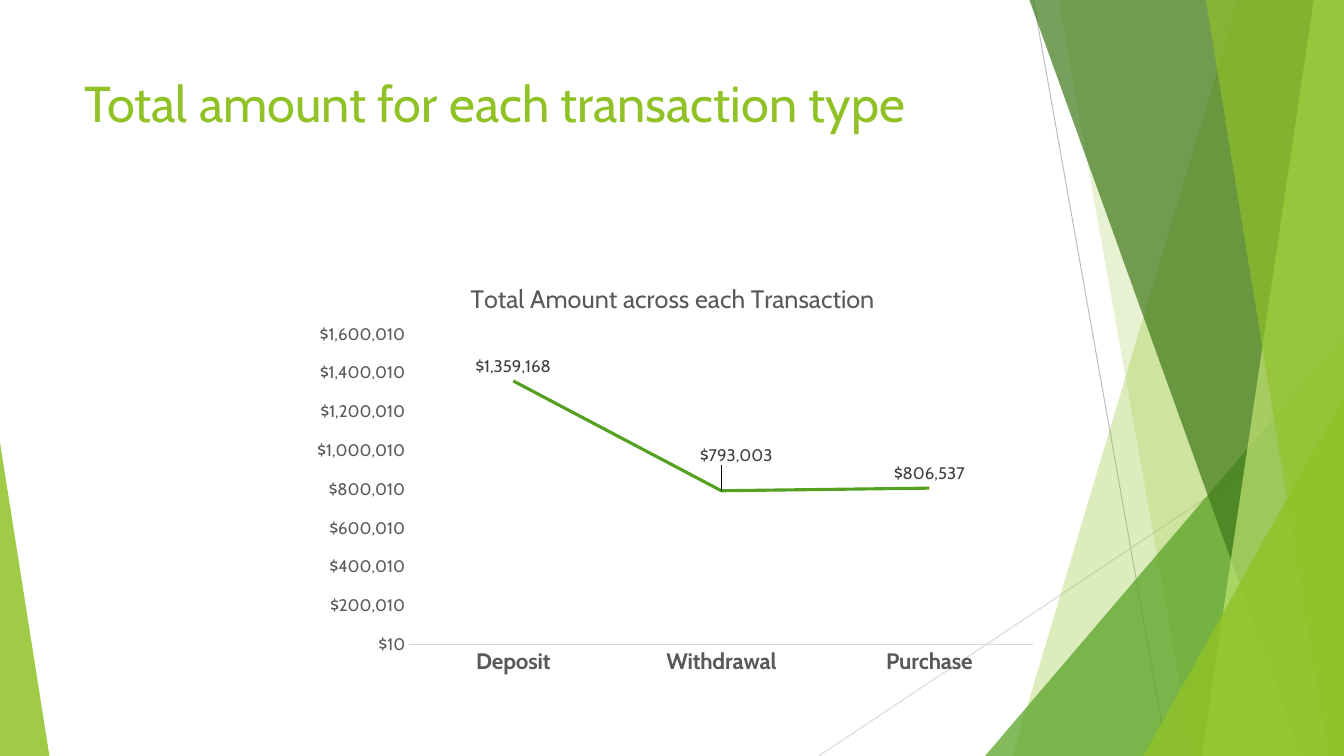
from dataclasses import dataclass

from lxml import etree
from pptx import Presentation
from pptx.chart.data import CategoryChartData
from pptx.dml.color import RGBColor
from pptx.enum.chart import XL_CHART_TYPE, XL_LABEL_POSITION, XL_TICK_MARK
from pptx.enum.shapes import MSO_CONNECTOR, MSO_SHAPE
from pptx.enum.text import MSO_ANCHOR
from pptx.oxml.ns import qn
from pptx.util import Pt

PX = 9144
WIDTH, HEIGHT = 1333, 750
LINE_CHART = XL_CHART_TYPE.LINE
LABEL_ABOVE = XL_LABEL_POSITION.ABOVE
NO_TICK = XL_TICK_MARK.NONE
STRAIGHT = MSO_CONNECTOR.STRAIGHT
TRIANGLE = MSO_SHAPE.ISOSCELES_TRIANGLE
TOP = MSO_ANCHOR.TOP


@dataclass(frozen=True)
class Theme:
    font: str = "Cabin"
    lime: str = "90C226"
    green: str = "54A021"
    forest: str = "3F7819"
    pale: str = "C0E474"
    silver: str = "BFBFBF"
    mist: str = "D9D9D9"
    axis_text: str = "595959"
    label_text: str = "404040"
    heading_size: int = 36
    chart_title_size: int = 18
    category_size: int = 16
    value_size: int = 12
    hairline: float = 0.75
    trend_width: float = 2.25


@dataclass(frozen=True)
class Ray:
    start: tuple[int, int]
    end: tuple[int, int]
    color: str


@dataclass(frozen=True)
class Blade:
    top_left: int
    bottom_left: int
    color: str
    opacity: int


@dataclass(frozen=True)
class Wedge:
    left: int
    top: int
    width: int
    apex: int
    color: str
    opacity: int


THEME = Theme()
RAYS = [
    Ray((1025, 0), (1158, HEIGHT), THEME.silver),
    Ray((WIDTH, 403), (812, HEIGHT), THEME.mist),
]
FACETS = [
    Blade(1228, 1004, THEME.lime, 30),
    Blade(1050, 1183, THEME.lime, 20),
    Wedge(977, 333, 356, 1, THEME.green, 72),
    Blade(1021, 1291, THEME.forest, 70),
    Blade(1303, 1192, THEME.pale, 70),
    Blade(1196, 1318, THEME.lime, 65),
    Wedge(1134, 393, 199, 1, THEME.lime, 80),
    Wedge(0, 439, 49, 0, THEME.lime, 85),
]
HEADING = "Total amount for each transaction type"
CHART_TITLE = "Total Amount across each Transaction"
TOTALS = {"Deposit": 1359168, "Withdrawal": 793003, "Purchase": 806537}
DOLLARS = "[$$-409]#,##0"
VALUE_AXIS = dict(minimum_scale=10, maximum_scale=1600010, major_unit=200000,
                  has_major_gridlines=False, major_tick_mark=NO_TICK)
CATEGORY_AXIS = dict(has_major_gridlines=False, major_tick_mark=NO_TICK)
NUMBER_FORMAT = dict(number_format=DOLLARS, number_format_is_linked=False)
DATA_LABELS = dict(show_value=True, position=LABEL_ABOVE, **NUMBER_FORMAT)
PLOT_LAYOUT = dict(layoutTarget="inner", xMode="edge", yMode="edge",
                   x=0.15, y=0.17, w=0.83, h=0.74)
WITHDRAWAL_OFFSET = dict(x=0.02, y=-0.05)


def apply(target, values: dict) -> None:
    for name, value in values.items():
        setattr(target, name, value)


def style_font(font, size: int, color: str, bold: bool = False) -> None:
    apply(font, dict(name=THEME.font, size=Pt(size), bold=bold))
    font.color.rgb = RGBColor.from_string(color)


def style_line(line, color: str, width: float) -> None:
    line.color.rgb = RGBColor.from_string(color)
    line.width = Pt(width)


def draw_ray(slide, ray: Ray) -> None:
    ends = [value * PX for value in (*ray.start, *ray.end)]
    connector = slide.shapes.add_connector(STRAIGHT, *ends)
    style_line(connector.line, ray.color, THEME.hairline)
    etree.SubElement(connector.element.spPr, qn("a:effectLst"))


def draw_facet(slide, facet: Blade | Wedge) -> None:
    if isinstance(facet, Blade):
        outline = slide.shapes.build_freeform(facet.top_left, 0, scale=PX)
        outline.add_line_segments(
            [(WIDTH, 0), (WIDTH, HEIGHT), (facet.bottom_left, HEIGHT)], close=True)
        shape = outline.convert_to_shape()
    else:
        box = (facet.left, facet.top, facet.width, HEIGHT - facet.top)
        shape = slide.shapes.add_shape(TRIANGLE, *(value * PX for value in box))
        shape.adjustments[0] = facet.apex
    shape.shadow.inherit = False
    shape.fill.solid()
    shape.fill.fore_color.rgb = RGBColor.from_string(facet.color)
    shape.line.fill.background()
    color = shape.element.spPr.find(".//" + qn("a:srgbClr"))
    etree.SubElement(color, qn("a:alpha"), val=str(facet.opacity * 1000))


def draw_heading(slide) -> None:
    box = slide.shapes.add_textbox(*(value * PX for value in (74, 67, 940, 144)))
    apply(box.text_frame, dict(word_wrap=True, vertical_anchor=TOP))
    run = box.text_frame.paragraphs[0].add_run()
    run.text = HEADING
    style_font(run.font, THEME.heading_size, THEME.lime)


def set_layout(parent, index: int, values: dict) -> None:
    for stale in parent.findall(qn("c:layout")):
        parent.remove(stale)
    layout = etree.Element(qn("c:layout"))
    manual = etree.SubElement(layout, qn("c:manualLayout"))
    for name, value in values.items():
        etree.SubElement(manual, qn(f"c:{name}"), val=str(value))
    parent.insert(index, layout)


def draw_chart(slide) -> None:
    data = CategoryChartData(number_format=DOLLARS)
    data.categories = list(TOTALS)
    data.add_series("Series 1", list(TOTALS.values()))
    box = (value * PX for value in (294, 261, 746, 416))
    chart = slide.shapes.add_chart(LINE_CHART, *box, data).chart
    apply(chart, dict(has_legend=False, has_title=True))
    chart.font.name = THEME.font
    title = chart.chart_title
    title.include_in_layout = False
    title.text_frame.text = CHART_TITLE
    title_run = title.text_frame.paragraphs[0].runs[0]
    style_font(title_run.font, THEME.chart_title_size, THEME.axis_text)

    values, categories = chart.value_axis, chart.category_axis
    apply(values, VALUE_AXIS)
    apply(values.tick_labels, NUMBER_FORMAT)
    values.format.line.fill.background()
    style_font(values.tick_labels.font, THEME.value_size, THEME.axis_text)
    apply(categories, CATEGORY_AXIS)
    style_line(categories.format.line, THEME.mist, THEME.hairline)
    style_font(categories.tick_labels.font, THEME.category_size, THEME.axis_text, True)

    plot = chart.plots[0]
    plot.vary_by_categories = False
    trend = plot.series[0]
    trend.smooth = False
    style_line(trend.format.line, THEME.green, THEME.trend_width)
    apply(trend.data_labels, DATA_LABELS)
    style_font(trend.data_labels.font, THEME.value_size, THEME.label_text)
    withdrawal = trend.points[list(TOTALS).index("Withdrawal")].data_label
    withdrawal.position = LABEL_ABOVE
    style_font(withdrawal.font, THEME.value_size, THEME.label_text)

    chart_xml = chart.element
    set_layout(chart_xml.find(".//" + qn("c:plotArea")), 0, PLOT_LAYOUT)
    set_layout(chart_xml.find(".//" + qn("c:dLbl")), 1, WITHDRAWAL_OFFSET)


def main() -> None:
    deck = Presentation()
    apply(deck, dict(slide_width=WIDTH * PX, slide_height=HEIGHT * PX))
    slide = deck.slides.add_slide(deck.slide_layouts[6])
    for ray in RAYS:
        draw_ray(slide, ray)
    for facet in FACETS:
        draw_facet(slide, facet)
    draw_heading(slide)
    draw_chart(slide)
    deck.save("out.pptx")


if __name__ == "__main__":
    main()
